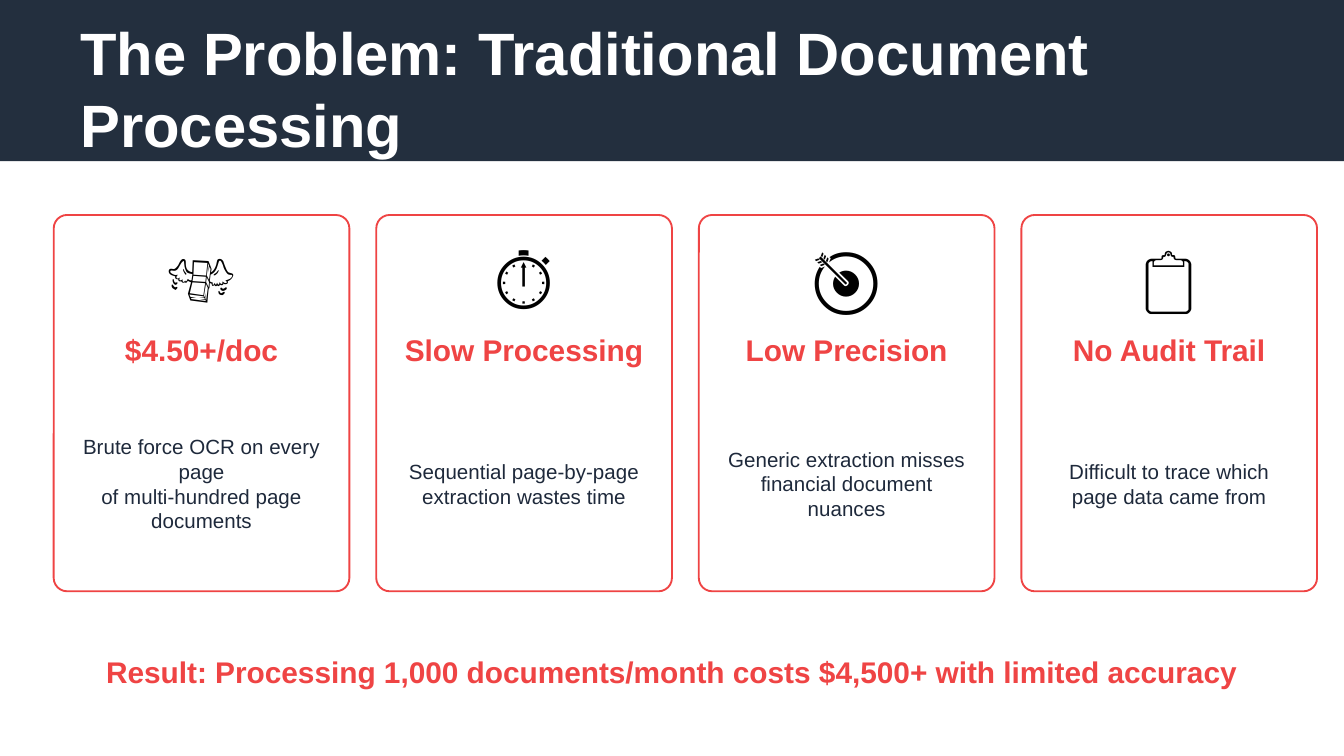
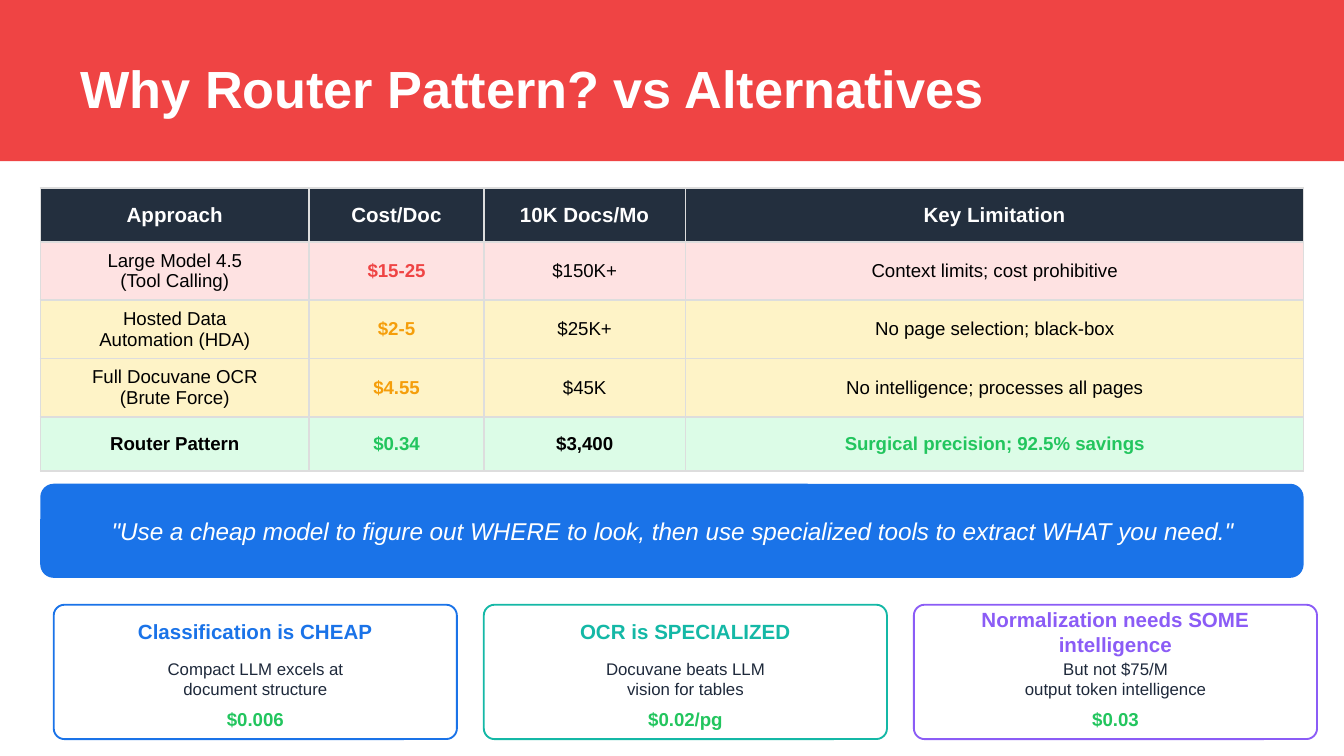
import dataclasses

import lxml.etree
import pptx
import pptx.dml.color
import pptx.enum.shapes
import pptx.enum.text
import pptx.oxml.ns
import pptx.util


@dataclasses.dataclass(frozen=True)
class Theme:
    font: str = "Arial"
    icon_font: str = "Calibri"
    white: str = "FFFFFF"
    black: str = "000000"
    navy: str = "232F3E"
    ink: str = "1E293B"
    red: str = "EF4444"
    amber: str = "F59E0B"
    green: str = "22C55E"
    blue: str = "1A73E8"
    teal: str = "14B8A6"
    violet: str = "8B5CF6"
    rose_tint: str = "FEE2E2"
    amber_tint: str = "FEF3C7"
    green_tint: str = "DCFCE7"
    rule: str = "DDDDDD"
    icon: float = 36
    title: float = 32
    long_title: float = 28
    heading: float = 16
    quote: float = 13
    body: float = 11
    cell: float = 10
    note: float = 9
    line: float = 1


THEME = Theme()
UNIT = pptx.util.Inches(0.1)
COLUMNS = 100


def rgb(value):
    return pptx.dml.color.RGBColor.from_string(value)


def grid(*units):
    return [round(unit * UNIT) for unit in units]


def write(frame, text, size=THEME.body, color=THEME.ink, bold=False,
          italic=False, font=THEME.font, align="CENTER"):
    for index, line in enumerate(text.split("\n")):
        paragraph = frame.add_paragraph() if index else frame.paragraphs[0]
        paragraph.alignment = getattr(pptx.enum.text.PP_ALIGN, align)
        run = paragraph.add_run()
        run.text = line
        run.font.name = font
        run.font.size = pptx.util.Pt(size)
        run.font.bold = bold
        run.font.italic = italic
        run.font.color.rgb = rgb(color)


class Deck:
    def __init__(self, theme):
        self.theme = theme
        self.presentation = pptx.Presentation()
        self.presentation.slide_width = COLUMNS * UNIT
        self.presentation.slide_height = COLUMNS * UNIT * 9 // 16
        self.slide = None

    def start(self, title, band, size):
        self.slide = self.presentation.slides.add_slide(
            self.presentation.slide_layouts[6])
        self.slide.background.fill.solid()
        self.slide.background.fill.fore_color.rgb = rgb(self.theme.white)
        self.panel(0, 0, COLUMNS, 12, fill=band)
        self.text(5, 4, 90, 5, title, size=size, color=self.theme.white,
                  bold=True, align="LEFT")

    def panel(self, left, top, width, height, fill, outline=None, radius=0):
        kinds = pptx.enum.shapes.MSO_SHAPE
        panel = self.slide.shapes.add_shape(
            kinds.ROUNDED_RECTANGLE if radius else kinds.RECTANGLE,
            *grid(left, top, width, height))
        panel.shadow.inherit = False
        if radius:
            panel.adjustments[0] = radius / min(width, height)
        panel.fill.solid()
        panel.fill.fore_color.rgb = rgb(fill)
        if outline:
            panel.line.color.rgb = rgb(outline)
            panel.line.width = pptx.util.Pt(self.theme.line)
        else:
            panel.line.fill.background()

    def text(self, left, top, width, height, content, **style):
        frame = self.slide.shapes.add_textbox(
            *grid(left, top, width, height)).text_frame
        frame.word_wrap = True
        frame.vertical_anchor = pptx.enum.text.MSO_ANCHOR.MIDDLE
        write(frame, content, **style)

    def table(self, left, top, widths, row_height, rows):
        table = self.slide.shapes.add_table(
            len(rows), len(widths),
            *grid(left, top, sum(widths), row_height * len(rows))).table
        for column, width in zip(table.columns, grid(*widths)):
            column.width = width
        for row, (fill, contents) in enumerate(rows):
            for column, (content, style) in enumerate(contents):
                self.cell(table.cell(row, column), content, fill, style)

    def cell(self, cell, content, fill, style):
        qn = pptx.oxml.ns.qn
        properties = cell._tc.get_or_add_tcPr()
        for side in ("lnL", "lnR", "lnT", "lnB"):
            border = lxml.etree.SubElement(
                properties, qn(f"a:{side}"),
                w=str(pptx.util.Pt(self.theme.line)))
            paint = lxml.etree.SubElement(border, qn("a:solidFill"))
            lxml.etree.SubElement(paint, qn("a:srgbClr"), val=self.theme.rule)
        cell.fill.solid()
        cell.fill.fore_color.rgb = rgb(fill)
        cell.vertical_anchor = pptx.enum.text.MSO_ANCHOR.MIDDLE
        write(cell.text_frame, content, **style)


def problem_slide(deck):
    theme = deck.theme
    deck.start("The Problem: Traditional Document Processing",
               theme.navy, theme.title)
    problems = [
        ("💸", "$4.50+/doc",
         "Brute force OCR on every page\nof multi-hundred page documents"),
        ("⏱️", "Slow Processing",
         "Sequential page-by-page\nextraction wastes time"),
        ("🎯", "Low Precision",
         "Generic extraction misses\nfinancial document nuances"),
        ("📋", "No Audit Trail",
         "Difficult to trace which\npage data came from"),
    ]
    width, gap = 22, 2
    for index, (icon, heading, detail) in enumerate(problems):
        left = 4 + index * (width + gap)
        deck.panel(left, 16, width, 28, theme.white, theme.red, radius=1)
        deck.text(left, 18, width, 5, icon, size=theme.icon,
                  color=theme.black, font=theme.icon_font)
        deck.text(left, 24, width, 4, heading, size=theme.heading,
                  color=theme.red, bold=True)
        deck.text(left + 1, 30, width - 2, 12, detail)
    deck.text(5, 48, 90, 4,
              "Result: Processing 1,000 documents/month costs $4,500+ "
              "with limited accuracy",
              size=theme.heading, color=theme.red, bold=True)


def comparison_rows(theme):
    header = dict(color=theme.white, bold=True)
    plain = dict(size=theme.cell, color=theme.black)
    strong = dict(plain, bold=True)
    saving = dict(strong, color=theme.green)
    headings = ("Approach", "Cost/Doc", "10K Docs/Mo", "Key Limitation")
    alternatives = [
        (theme.rose_tint, theme.red, "Large Model 4.5\n(Tool Calling)",
         "$15-25", "$150K+", "Context limits; cost prohibitive"),
        (theme.amber_tint, theme.amber, "Hosted Data\nAutomation (HDA)",
         "$2-5", "$25K+", "No page selection; black-box"),
        (theme.amber_tint, theme.amber, "Full Docuvane OCR\n(Brute Force)",
         "$4.55", "$45K", "No intelligence; processes all pages"),
    ]
    rows = [(theme.navy, [(heading, header) for heading in headings])]
    for tint, accent, approach, cost, monthly, limitation in alternatives:
        rows.append((tint, [(approach, plain),
                            (cost, dict(strong, color=accent)),
                            (monthly, plain), (limitation, plain)]))
    rows.append((theme.green_tint, [
        ("Router Pattern", strong), ("$0.34", saving), ("$3,400", strong),
        ("Surgical precision; 92.5% savings", saving)]))
    return rows


def alternatives_slide(deck):
    theme = deck.theme
    deck.start("Why Router Pattern? vs Alternatives",
               theme.red, theme.long_title)
    deck.table(3, 14, (20, 13, 15, 46), 4, comparison_rows(theme))
    deck.panel(3, 36, 94, 7, theme.blue, radius=1)
    deck.text(4, 37, 92, 5,
              '"Use a cheap model to figure out WHERE to look, then use '
              'specialized tools to extract WHAT you need."',
              size=theme.quote, color=theme.white, italic=True)
    reasons = [
        (theme.blue, "Classification is CHEAP",
         "Compact LLM excels at\ndocument structure", "$0.006"),
        (theme.teal, "OCR is SPECIALIZED",
         "Docuvane beats LLM\nvision for tables", "$0.02/pg"),
        (theme.violet, "Normalization needs SOME intelligence",
         "But not $75/M\noutput token intelligence", "$0.03"),
    ]
    width, gap = 30, 2
    for index, (accent, heading, detail, cost) in enumerate(reasons):
        left = 4 + index * (width + gap)
        deck.panel(left, 45, width, 10, theme.white, accent, radius=0.8)
        deck.text(left, 45.5, width, 3, heading, color=accent, bold=True)
        deck.text(left, 48.5, width, 4, detail, size=theme.note)
        deck.text(left, 52.5, width, 2, cost, size=theme.cell,
                  color=theme.green, bold=True)


def main():
    deck = Deck(THEME)
    problem_slide(deck)
    alternatives_slide(deck)
    deck.presentation.save("out.pptx")


if __name__ == "__main__":
    main()
